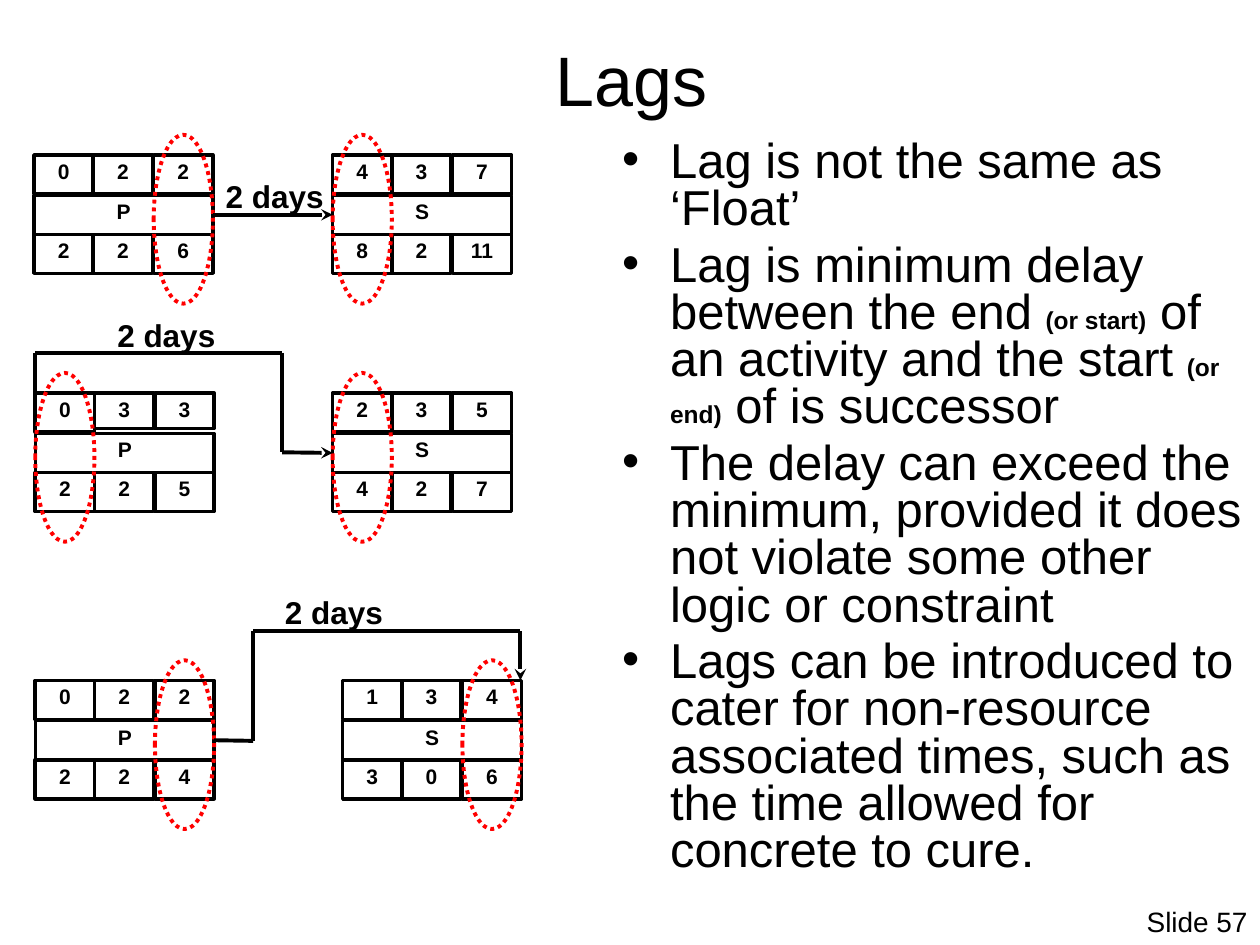
import dataclasses

import lxml.etree
import pptx
import pptx.dml.color
import pptx.enum.dml
import pptx.enum.shapes
import pptx.enum.text
import pptx.oxml.ns
import pptx.util

PX = 9144  # EMU per px, at 100 px to the inch
ALIGN = pptx.enum.text.PP_ALIGN
ANCHOR = pptx.enum.text.MSO_ANCHOR
SHAPES = pptx.enum.shapes.MSO_SHAPE


@dataclasses.dataclass(frozen=True)
class Theme:
    font: str = "Arial"
    ink: str = "000000"
    highlight: str = "FF0000"
    title: int = 40
    body: int = 28
    note: int = 14
    label: int = 18
    cell: int = 12
    footer: int = 16
    cell_line: float = 2
    link_line: float = 2.25


THEME = Theme()

# Activity box geometry
BOX_WIDTH, ROW_PITCH, CELL_WIDTH, CELL_HEIGHT = 142, 31.5, 47, 31
COLUMNS = [round(BOX_WIDTH * index / 3) for index in range(3)]
ROWS = [round(ROW_PITCH * index) for index in range(3)]

# Each paragraph is a list of (text, is_note) runs
BULLETS = [
    [("Lag is not the same as ‘Float’", False)],
    [("Lag is minimum delay between the end ", False), ("(or start)", True),
     (" of an activity and the start ", False), ("(or end)", True),
     (" of is successor", False)],
    [("The delay can exceed the minimum, provided it does not violate "
      "some other logic or constraint", False)],
    [("Lags can be introduced to cater for non-resource associated times, "
      "such as the time allowed for concrete to cure.", False)],
]


def px(*lengths):
    return [pptx.util.Emu(length * PX) for length in lengths]


def color(value):
    return pptx.dml.color.RGBColor.from_string(value)


def add_run(para, text, size, bold=False):
    span = para.add_run()
    span.text = text
    span.font.name = THEME.font
    span.font.size = pptx.util.Pt(size)
    span.font.bold = bold
    span.font.color.rgb = color(THEME.ink)


def add_text(page, place, text, size, align, bold=False, spacing=0.9,
             anchor=ANCHOR.TOP, wrap=True):
    box = page.shapes.add_textbox(*px(*place))
    box.text_frame.word_wrap = wrap
    box.text_frame.vertical_anchor = anchor
    para = box.text_frame.paragraphs[0]
    para.alignment = align
    para.line_spacing = spacing
    add_run(para, text, size, bold)


def add_outline(page, kind, place, line_color, width):
    shape = page.shapes.add_shape(kind, *px(*place))
    shape.shadow.inherit = False
    shape.fill.background()
    shape.line.color.rgb = color(line_color)
    shape.line.width = pptx.util.Pt(width)
    return shape


def add_cell(page, place, text):
    cell = add_outline(page, SHAPES.RECTANGLE, place, THEME.ink, THEME.cell_line)
    cell.text_frame.word_wrap = True
    cell.text_frame.vertical_anchor = ANCHOR.TOP
    para = cell.text_frame.paragraphs[0]
    para.alignment = ALIGN.CENTER
    para.line_spacing = 0.9
    add_run(para, text, THEME.cell, True)
    return cell


def add_activity(page, left, top, name, early, late, marked, short_columns=()):
    """Draw one activity box, ring the marked column and return the name row."""
    name_row = add_cell(page, (left, top + ROWS[1], BOX_WIDTH, CELL_HEIGHT), name)
    for row, values in ((0, early), (2, late)):
        for column, value in enumerate(values):
            height = 28 if row == 0 and column in short_columns else CELL_HEIGHT
            place = (left + COLUMNS[column], top + ROWS[row], CELL_WIDTH, height)
            add_cell(page, place, str(value))
    ring = add_outline(page, SHAPES.OVAL,
                       (left + COLUMNS[marked], top - 16, CELL_WIDTH, 134),
                       THEME.highlight, THEME.link_line)
    ring.line.dash_style = pptx.enum.dml.MSO_LINE.ROUND_DOT
    return name_row


def add_link(page, start, end, arrow=False, source=None, target=None):
    link = page.shapes.add_connector(
        pptx.enum.shapes.MSO_CONNECTOR.STRAIGHT, *px(*start, *end))
    if source is not None:
        link.begin_connect(source, 3)
    if target is not None:
        link.end_connect(target, 1)
    link.line.color.rgb = color(THEME.ink)
    link.line.width = pptx.util.Pt(THEME.link_line)
    qn = pptx.oxml.ns.qn
    if arrow:
        line = link.line._get_or_add_ln()
        lxml.etree.SubElement(line, qn("a:tailEnd"), type="stealth")
    lxml.etree.SubElement(link._element.spPr, qn("a:effectLst"))


def add_lag_label(page, left, top):
    add_text(page, (left, top, 98, 37), "2 days", THEME.label, ALIGN.CENTER,
             bold=True, wrap=False)


def add_bullets(page, place):
    box = page.shapes.add_textbox(*px(*place))
    frame = box.text_frame
    frame.word_wrap = True
    qn = pptx.oxml.ns.qn
    for index, runs in enumerate(BULLETS):
        para = frame.add_paragraph() if index else frame.paragraphs[0]
        para.line_spacing = 0.8
        para.space_before = pptx.util.Pt(THEME.body * 0.2)
        properties = para._p.get_or_add_pPr()
        properties.set("marL", str(38 * PX))
        properties.set("indent", str(-38 * PX))
        lxml.etree.SubElement(properties, qn("a:buFont"), typeface=THEME.font)
        lxml.etree.SubElement(properties, qn("a:buChar"), char="•")
        for text, is_note in runs:
            add_run(para, text, THEME.note if is_note else THEME.body, is_note)


def add_finish_to_start(page):
    first = add_activity(page, 27, 123, "P", (0, 2, 2), (2, 2, 6), 2)
    second = add_activity(page, 264, 123, "S", (4, 3, 7), (8, 2, 11), 0)
    add_link(page, (169, 170), (264, 170), True, first, second)
    add_lag_label(page, 169, 139)


def add_start_to_start(page):
    add_activity(page, 28, 312, "P", (0, 3, 3), (2, 2, 5), 0, short_columns=(1, 2))
    second = add_activity(page, 264, 312, "S", (2, 3, 5), (4, 2, 7), 0)
    add_link(page, (28, 312), (28, 280))
    add_link(page, (28, 280), (224, 280))
    add_link(page, (224, 280), (224, 359))
    add_link(page, (224, 359), (264, 359), True, target=second)
    add_lag_label(page, 83, 249)


def add_finish_to_finish(page):
    first = add_activity(page, 28, 540, "P", (0, 2, 2), (2, 2, 4), 2)
    add_activity(page, 272, 540, "S", (1, 3, 4), (3, 0, 6), 2)
    add_link(page, (169, 588), (201, 588), source=first)
    add_link(page, (201, 588), (201, 501))
    add_link(page, (201, 501), (413, 501))
    add_link(page, (413, 501), (413, 540), True)
    add_lag_label(page, 216, 469)


def main():
    deck = pptx.Presentation()
    deck.slide_width, deck.slide_height = px(1000, 750)
    page = deck.slides.add_slide(deck.slide_layouts[6])

    # Title, explanation and page number
    add_text(page, (51, 28, 900, 69), "Lags", THEME.title, ALIGN.CENTER,
             spacing=1.0, anchor=ANCHOR.MIDDLE)
    add_bullets(page, (484, 107, 516, 622))
    add_text(page, (862, 716, 138, 34), "Slide 57", THEME.footer, ALIGN.RIGHT)

    # The three kinds of lag
    add_finish_to_start(page)
    add_start_to_start(page)
    add_finish_to_finish(page)

    deck.save("out.pptx")


if __name__ == "__main__":
    main()
